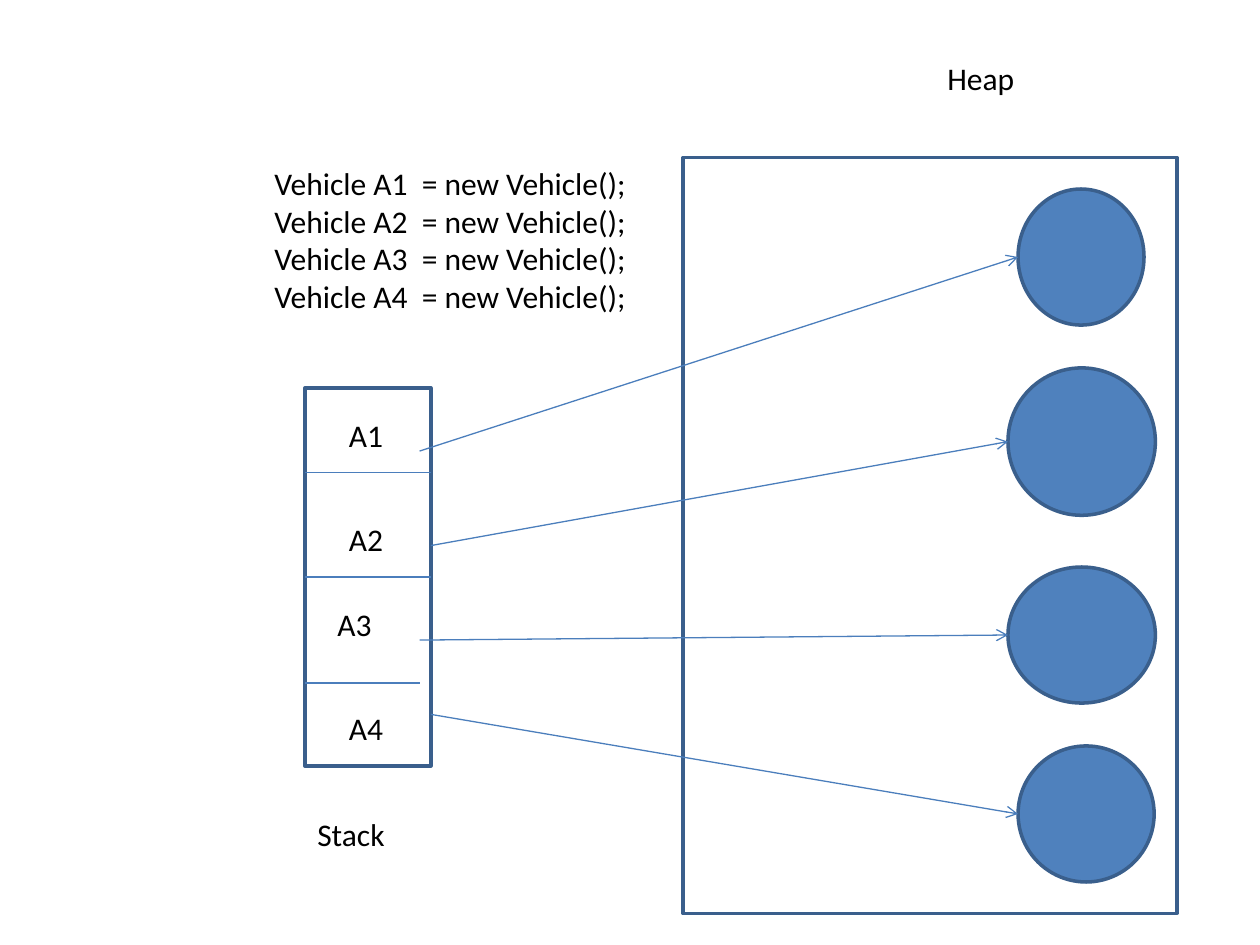
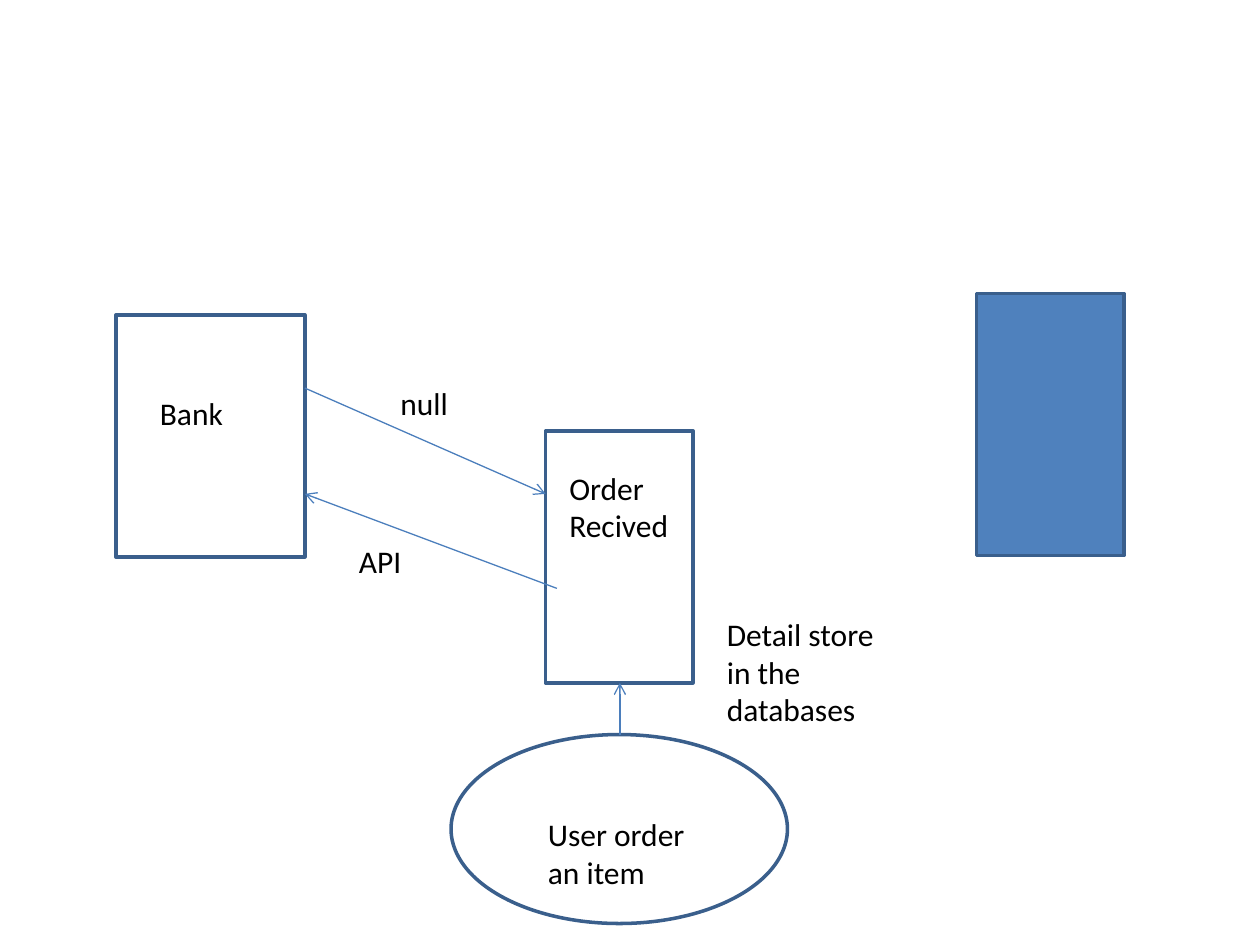
from lxml.etree import SubElement
from pptx import Presentation
from pptx.dml.color import RGBColor
from pptx.enum.shapes import MSO_CONNECTOR, MSO_SHAPE
from pptx.enum.text import MSO_AUTO_SIZE
from pptx.oxml.ns import qn
from pptx.util import Inches, Pt

COLORS = {"fill": "4F81BD", "outline": "3A5F8C", "line": "4B7EBC", "text": "000000"}
FONT = "Calibri"


def color(name):
    return RGBColor.from_string(COLORS[name])


def add_figure(page, kind, left, top, width, height, filled=False):
    figure = page.shapes.add_shape(
        kind, Inches(left), Inches(top), Inches(width), Inches(height))
    figure.shadow.inherit = False
    if filled:
        figure.fill.solid()
        figure.fill.fore_color.rgb = color("fill")
    else:
        figure.fill.background()
    figure.line.color.rgb = color("outline")
    figure.line.width = Pt(2)


def add_line(page, start, end, arrow=False):
    line = page.shapes.add_connector(
        MSO_CONNECTOR.STRAIGHT, *(Inches(value) for value in (*start, *end)))
    line.line.color.rgb = color("line")
    line.line.width = Pt(0.75)
    if arrow:
        SubElement(line.line._get_or_add_ln(), qn("a:tailEnd"), type="arrow")
    SubElement(line._element.spPr, qn("a:effectLst"))


def add_label(page, text, left, top, width, height=0.4):
    box = page.shapes.add_textbox(
        Inches(left), Inches(top), Inches(width), Inches(height))
    frame = box.text_frame
    frame.text = text
    frame.word_wrap = True
    frame.auto_size = MSO_AUTO_SIZE.SHAPE_TO_FIT_TEXT
    for paragraph in frame.paragraphs:
        for span in paragraph.runs:
            span.font.name = FONT
            span.font.size = Pt(18)
            span.font.color.rgb = color("text")


def add_page(deck):
    return deck.slides.add_slide(deck.slide_layouts[6])


def build_memory_page(page):
    add_figure(page, MSO_SHAPE.RECTANGLE, 5.42, 1.25, 3.92, 6)
    add_label(page, "Heap", 7.42, 0.42, 2.08)

    stack_left, stack_width = 2.42, 1
    add_figure(page, MSO_SHAPE.RECTANGLE, stack_left, 3.08, stack_width, 3)
    add_label(page, "Stack", stack_left, 6.42, stack_width)
    for y, right in ((3.75, 3.42), (4.58, 3.42), (5.42, 3.33)):
        add_line(page, (stack_left, y), (right, y))

    # Each variable: name, label position, arrow start, heap object (left, top, width, height)
    variables = [
        ("A1", (2.67, 3.25), (3.33, 3.58), (8.08, 1.5, 1, 1.08)),
        ("A2", (2.67, 4.08), (3.42, 4.33), (8, 2.92, 1.17, 1.17)),
        ("A3", (2.58, 4.75), (3.33, 5.08), (8, 4.5, 1.17, 1.08)),
        ("A4", (2.67, 5.58), (3.42, 5.67), (8.08, 5.92, 1.08, 1.08)),
    ]
    for name, label_position, arrow_start, heap_object in variables:
        left, top, _, height = heap_object
        add_label(page, name, *label_position, 0.58)
        add_figure(page, MSO_SHAPE.OVAL, *heap_object, filled=True)
        add_line(page, arrow_start, (left, top + height / 2), arrow=True)

    code = "\n".join(f"Vehicle {name}  = new Vehicle();" for name, *_ in variables)
    add_label(page, code, 2.08, 1.25, 5, 1.31)


def build_order_page(page):
    add_figure(page, MSO_SHAPE.RECTANGLE, 0.92, 2.5, 1.5, 1.92)
    add_figure(page, MSO_SHAPE.RECTANGLE, 4.33, 3.42, 1.17, 2)
    add_figure(page, MSO_SHAPE.RECTANGLE, 7.75, 2.33, 1.17, 2.08, filled=True)
    add_figure(page, MSO_SHAPE.OVAL, 3.58, 5.83, 2.67, 1.5)

    for start, end in (
        ((4.92, 5.83), (4.92, 5.42)),
        ((4.42, 4.67), (2.42, 3.92)),
        ((2.42, 3.08), (4.33, 3.92)),
    ):
        add_line(page, start, end, arrow=True)

    add_label(page, "Bank", 1.17, 3.08, 0.75)
    add_label(page, "null", 3.08, 3, 0.83)
    add_label(page, "API", 2.75, 4.25, 0.67)
    add_label(page, "Order Recived", 4.42, 3.67, 1.08, 0.71)
    add_label(page, "User order an item", 4.25, 6.42, 1.33, 0.71)
    add_label(page, "Detail store in the databases", 5.67, 4.83, 1.42, 1.01)


def main():
    deck = Presentation()
    deck.slide_width, deck.slide_height = Inches(10), Inches(7.5)
    build_memory_page(add_page(deck))
    build_order_page(add_page(deck))
    deck.save("out.pptx")


if __name__ == "__main__":
    main()
